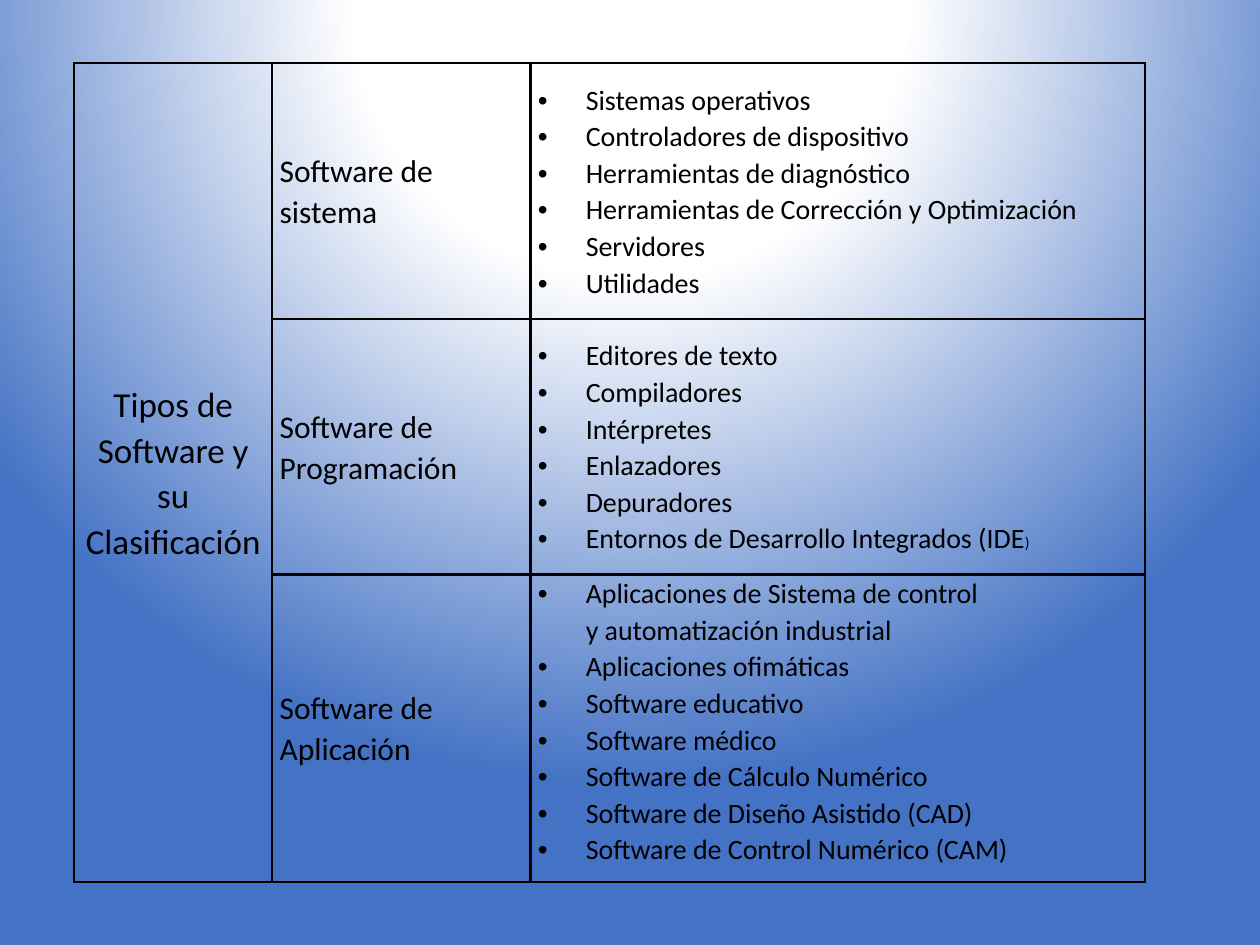
"""Build a slide with a table that classifies the types of software."""
from lxml import etree
from pptx import Presentation
from pptx.dml.color import RGBColor
from pptx.enum import text
from pptx.oxml import parse_xml
from pptx.oxml.ns import nsdecls, qn
from pptx.util import Inches, Pt

COLORS = {"ink": "000000", "glow": "FFFFFF", "edge": "4472C4"}
MIDDLE, TOP = text.MSO_ANCHOR.MIDDLE, text.MSO_ANCHOR.TOP
LEFT, CENTER = text.PP_ALIGN.LEFT, text.PP_ALIGN.CENTER
TITLE = "Tipos de Software y su Clasificación"
COLUMN_WIDTHS = [1.57, 2.05, 4.88]
CLASSES = [
    ("Software de sistema", 2.03, MIDDLE, [
        "Sistemas operativos", "Controladores de dispositivo",
        "Herramientas de diagnóstico",
        "Herramientas de Corrección y Optimización",
        "Servidores", "Utilidades"]),
    ("Software de Programación", 2.03, MIDDLE, [
        "Editores de texto", "Compiladores", "Intérpretes", "Enlazadores",
        "Depuradores", "Entornos de Desarrollo Integrados (IDE)"]),
    ("Software de Aplicación", 2.44, TOP, [
        "Aplicaciones de Sistema de control y\u00a0automatización\u00a0industrial",
        "Aplicaciones ofimáticas", "Software educativo", "Software médico",
        "Software de\u00a0Cálculo Numérico",
        "Software de Diseño Asistido (CAD)",
        "Software de Control Numérico (CAM)"]),
]
CELL_FORMAT = {"margin_left": Inches(0.06), "margin_right": Inches(0.06),
               "margin_top": 0, "margin_bottom": 0}


def write_cell(cell, lines, size, anchor=MIDDLE, align=LEFT, bullets=False):
    cell.vertical_anchor = anchor
    cell.text_frame.text = "\n".join(lines)
    for paragraph in cell.text_frame.paragraphs:
        paragraph.alignment = align
        paragraph.line_spacing = 1.07
        for run in paragraph.runs:
            run.font.size = Pt(size)
            run.font.name = "Calibri"
            run.font.color.rgb = RGBColor.from_string(COLORS["ink"])
        if bullets:
            properties = paragraph._p.get_or_add_pPr()
            properties.set("marL", str(Inches(0.38)))
            properties.set("indent", str(-Inches(0.38)))
            etree.SubElement(properties, qn("a:buFont")).set("typeface", "Arial")
            etree.SubElement(properties, qn("a:buChar")).set("char", "•")


presentation = Presentation()
presentation.slide_width = Inches(10)
presentation.slide_height = Inches(7.5)
slide = presentation.slides.add_slide(presentation.slide_layouts[6])

stops = "".join(
    f'<a:gs pos="{percent * 1000}"><a:srgbClr val="{COLORS[name]}"/></a:gs>'
    for percent, name in [(0, "glow"), (35, "glow"), (100, "edge")])
slide.element.cSld.insert(0, parse_xml(
    f'<p:bg {nsdecls("p", "a")}><p:bgPr><a:gradFill><a:gsLst>{stops}</a:gsLst>'
    '<a:path path="circle"><a:fillToRect l="50000" t="-80000" r="50000" '
    'b="180000"/></a:path></a:gradFill><a:effectLst/></p:bgPr></p:bg>'))

classification = slide.shapes.add_table(
    len(CLASSES), len(COLUMN_WIDTHS), Inches(0.59), Inches(0.5),
    Inches(8.5), Inches(6.5)).table
classification.first_row = False
classification.horz_banding = False
for column, width in zip(classification.columns, COLUMN_WIDTHS):
    column.width = Inches(width)

for cell in classification.iter_cells():
    cell.fill.background()
    for attribute, value in CELL_FORMAT.items():
        setattr(cell, attribute, value)
    for position, side in enumerate("LRTB"):
        cell._tc.get_or_add_tcPr().insert(position, parse_xml(
            f'<a:ln{side} {nsdecls("a")} w="{Pt(1.5)}"><a:solidFill>'
            f'<a:srgbClr val="{COLORS["ink"]}"/></a:solidFill></a:ln{side}>'))

classification.cell(0, 0).merge(classification.cell(len(CLASSES) - 1, 0))
write_cell(classification.cell(0, 0), [TITLE], 20, align=CENTER)
for row, (category, height, anchor, examples) in enumerate(CLASSES):
    classification.rows[row].height = Inches(height)
    write_cell(classification.cell(row, 1), [category], 18)
    write_cell(classification.cell(row, 2), examples, 16, anchor, bullets=True)

closing_bracket = classification.cell(1, 2).text_frame.paragraphs[-1]
closing_bracket.runs[0].text = closing_bracket.text.rstrip(")")
small_run = closing_bracket.add_run()
small_run.text = ")"
small_run.font.size = Pt(9)
small_run.font.name = "Calibri"
small_run.font.color.rgb = RGBColor.from_string(COLORS["ink"])

presentation.save("out.pptx")
